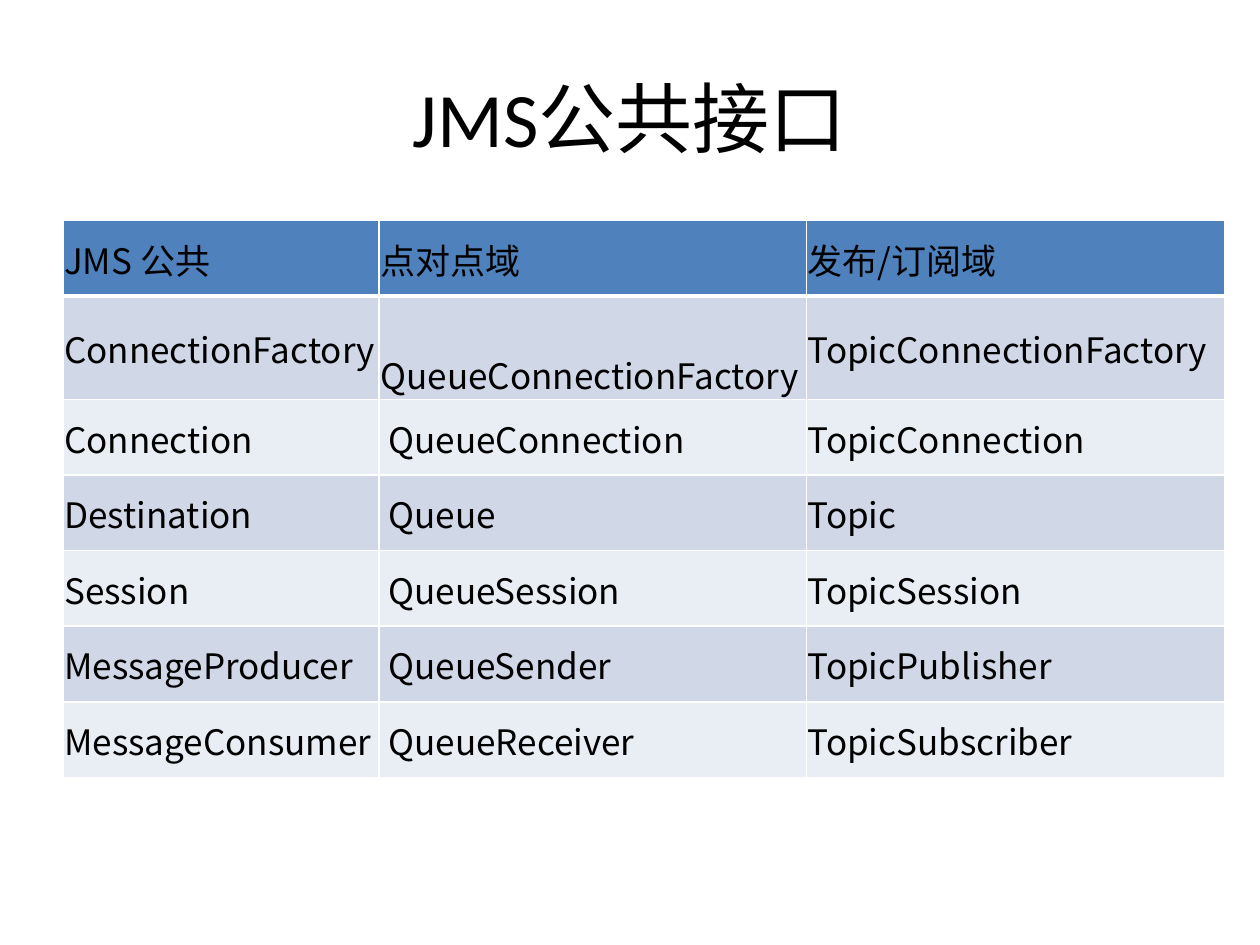
from lxml import etree
from pptx import Presentation
from pptx.dml.color import RGBColor
from pptx.enum.text import MSO_ANCHOR, PP_ALIGN
from pptx.oxml.ns import qn
from pptx.util import Inches, Pt

MIDDLE = MSO_ANCHOR.MIDDLE
CENTER = PP_ALIGN.CENTER
BLACK = RGBColor(0x00, 0x00, 0x00)
WHITE = RGBColor(0xFF, 0xFF, 0xFF)
BLUE = RGBColor(0x4F, 0x81, 0xBD)
BANDS = [RGBColor(0xE9, 0xED, 0xF4), RGBColor(0xD0, 0xD8, 0xE8)]

WIDTHS = [2.51, 3.39, 3.32]
HEIGHTS = [0.6, 0.82] + [0.6] * 5
ROWS = [
    ["JMS 公共", "点对点域", "发布/订阅域"],
    ["ConnectionFactory", " QueueConnectionFactory", "TopicConnectionFactory"],
    ["Connection", " QueueConnection", "TopicConnection"],
    ["Destination", " Queue", "Topic"],
    ["Session", " QueueSession", "TopicSession"],
    ["MessageProducer", " QueueSender", "TopicPublisher"],
    ["MessageConsumer", " QueueReceiver", "TopicSubscriber"],
]


def set_text(para, text, face, size):
    para.text = text
    font = para.font
    font.name = face
    font.size = Pt(size)
    font.bold = False
    font.color.rgb = BLACK


def add_title(slide, left, top, width, height):
    box = slide.shapes.add_textbox(left, top, width, height)
    frame = box.text_frame
    frame.word_wrap = True
    frame.vertical_anchor = MIDDLE
    para = frame.paragraphs[0]
    para.alignment = CENTER
    set_text(para, "JMS公共接口", "Calibri", 44)


def set_edges(cell, top, bottom):
    props = cell._tc.get_or_add_tcPr()
    edges = [("a:lnL", 1), ("a:lnR", 1), ("a:lnT", top), ("a:lnB", bottom)]
    for place, (tag, width) in enumerate(edges):
        line = etree.Element(qn(tag), w=str(Pt(width)))
        fill = etree.SubElement(line, qn("a:solidFill"))
        etree.SubElement(fill, qn("a:srgbClr"), val=str(WHITE))
        props.insert(place, line)


def fill_cell(cell, text, row):
    cell.margin_left = cell.margin_right = cell.margin_top = Inches(0.01)
    cell.margin_bottom = 0
    cell.vertical_anchor = MIDDLE
    cell.fill.solid()
    cell.fill.fore_color.rgb = BANDS[row % 2] if row else BLUE
    set_edges(cell, 3 if row == 1 else 1, 3 if row == 0 else 1)
    set_text(cell.text_frame.paragraphs[0], text, "Noto Sans CJK SC", 20)


def add_grid(slide, left, top, width, height):
    frame = slide.shapes.add_table(
        len(ROWS), len(WIDTHS), left, top, width, height)
    table = frame.table
    table.first_row = False
    table.horz_banding = False
    for col, size in zip(table.columns, WIDTHS):
        col.width = Inches(size)
    for line, size in zip(table.rows, HEIGHTS):
        line.height = Inches(size)
    for row, texts in enumerate(ROWS):
        for col, text in enumerate(texts):
            fill_cell(table.cell(row, col), text, row)


def main():
    deck = Presentation()
    deck.slide_width = Inches(10)
    deck.slide_height = Inches(7.5)
    slide = deck.slides.add_slide(deck.slide_layouts[6])
    add_title(slide, Inches(0.5), Inches(0.3), Inches(9), Inches(1.25))
    add_grid(slide, Inches(0.5), Inches(1.75),
             Inches(sum(WIDTHS)), Inches(sum(HEIGHTS)))
    deck.save("out.pptx")


if __name__ == "__main__":
    main()
